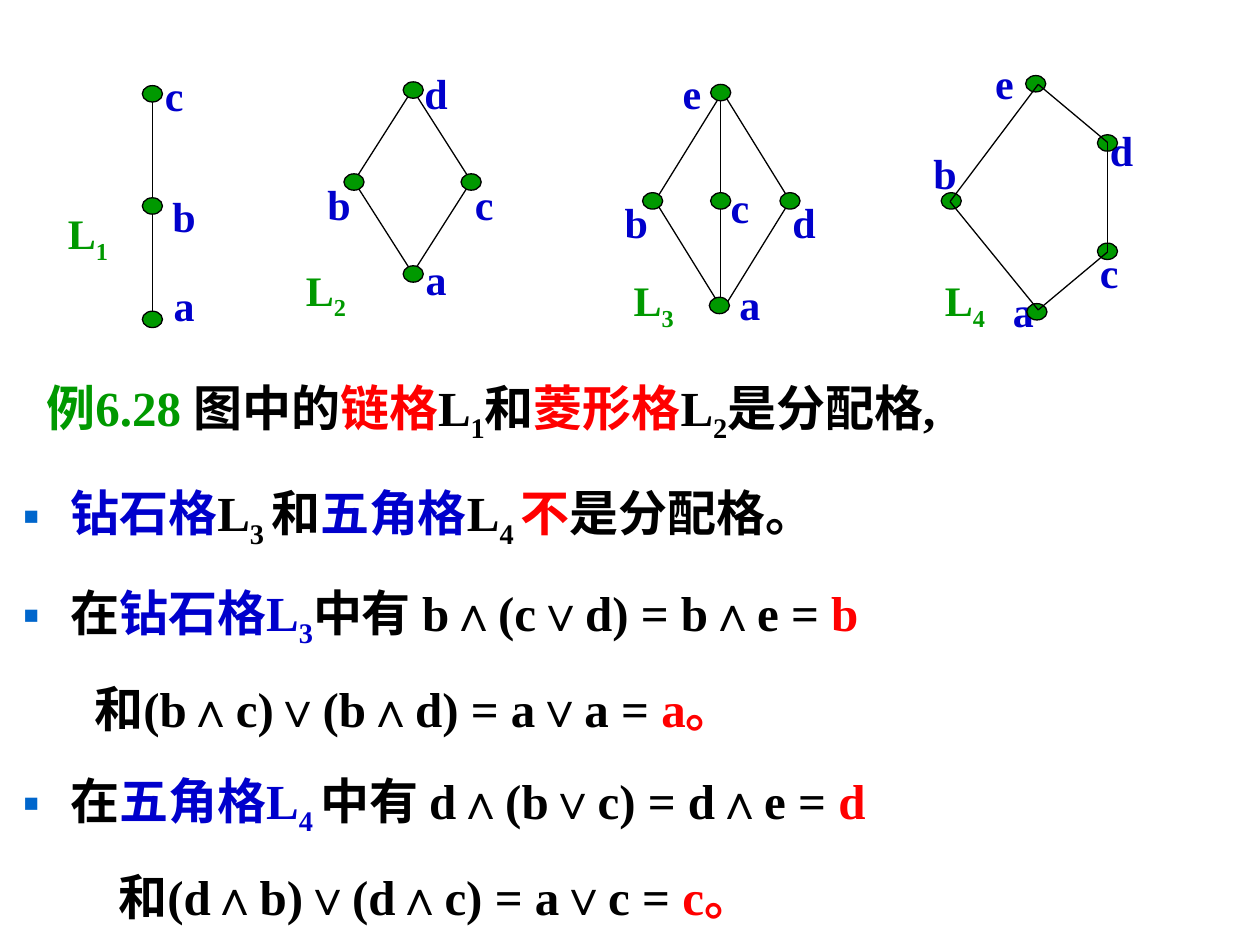
"""Build a slide on four lattices and which of them are distributive."""
from lxml import etree
from pptx import Presentation, util as u
from pptx.dml.color import RGBColor
from pptx.enum import shapes, text
from pptx.oxml import ns

PX = 9144
SLIDE = (1000, 750)
BODY = (8, 273, 980, 477)
NODE = (16, 13)
LABEL_WIDTHS = {"a": 36, "b": 38, "c": 35, "d": 38, "e": 35}
LABEL_HEIGHT = 50
NAME = (52, 56)
HANG = 38
SUB = "-25000"
THEME = {
    "font": "Times New Roman", "body": 28, "label": 24, "line": 0.75, "before": 7,
    "ink": "000000", "red": "FF0000", "blue": "0000CC", "green": "009900",
    "bullet": "0066CC",
}

# Each node is (label, node left, node top, label left, label top).
LATTICES = [
    {"index": "1", "name_at": (44, 160),
     "under": [((121, 74), (121, 260))],
     "nodes": [("c", 113, 68, 121, 50), ("b", 113, 157, 127, 146),
               ("a", 113, 247, 128, 217)]},
    {"index": "2", "name_at": (233, 205),
     "diamond": (281, 71, 93, 146),
     "nodes": [("d", 320, 65, 327, 49), ("b", 273, 138, 250, 137),
               ("c", 366, 138, 367, 137), ("a", 320, 211, 328, 196)]},
    {"index": "3", "name_at": (493, 213),
     "diamond": (520, 73, 107, 173),
     "under": [((572, 240), (572, 73))],
     "nodes": [("e", 564, 67, 532, 49), ("b", 510, 153, 486, 151),
               ("c", 564, 153, 570, 139), ("d", 619, 153, 619, 151),
               ("a", 563, 236, 577, 216)]},
    {"index": "4", "name_at": (740, 213),
     "over": [((824, 67), (754, 160)), ((754, 160), (824, 246)),
              ((879, 113), (879, 200)), ((879, 113), (824, 67)),
              ((879, 200), (824, 246))],
     "nodes": [("e", 814, 60, 780, 41), ("b", 747, 153, 731, 112),
               ("d", 871, 107, 871, 94), ("c", 871, 193, 863, 191),
               ("a", 815, 241, 794, 222)]},
]

PARAGRAPHS = [
    {"spacing": 1.4, "margin": HANG, "indent": -19, "runs": [
        ("例6.28 ", "green"), ("图中的", "ink"), ("链格", "red"), ("L", "ink"),
        ("1", "ink", SUB), ("和", "ink"), ("菱形格", "red"), ("L", "ink"),
        ("2", "ink", SUB), ("是分配格,", "ink")]},
    {"spacing": 1.4, "bullet": "▪", "runs": [
        ("钻石格", "blue"), ("L", "ink"), ("3 ", "ink", SUB), ("和", "ink"),
        ("五角格", "blue"), ("L", "ink"), ("4 ", "ink", SUB), ("不", "red"),
        ("是分配格。", "ink")]},
    {"spacing": 1.3, "bullet": "▪", "runs": [
        ("在", "ink"), ("钻石格L", "blue"), ("3", "blue", SUB),
        ("中有 b∧(c∨d) = b∧e = ", "ink"), ("b", "red")]},
    {"spacing": 1.3, "margin": 57, "indent": 0, "runs": [
        ("和(b∧c)∨(b∧d) = a∨a = ", "ink"), ("a。", "red")]},
    {"spacing": 1.3, "bullet": "▪", "runs": [
        ("在", "ink"), ("五角格L", "blue"), ("4 ", "blue", SUB),
        ("中有 d∧(b∨c) = d∧e = ", "ink"), ("d", "red")]},
    {"spacing": 1.3, "margin": 76, "indent": 0, "runs": [
        ("和(d∧b)∨(d∧c) = a∨c = ", "ink"), ("c。", "red")]},
]


def emu(*lengths):
    return [u.Emu(length * PX) for length in lengths]


def colour(key):
    return RGBColor.from_string(THEME[key])


def add_runs(paragraph, runs, size):
    for words, key, *baseline in runs:
        run = paragraph.add_run()
        run.text = words
        run.font.name = THEME["font"]
        run.font.size = u.Pt(size)
        run.font.bold = True
        run.font.color.rgb = colour(key)
        if baseline:
            run.font._element.set("baseline", baseline[0])


def set_bullet(properties, char):
    if not char:
        etree.SubElement(properties, ns.qn("a:buNone"))
        return
    tint = etree.SubElement(properties, ns.qn("a:buClr"))
    etree.SubElement(tint, ns.qn("a:srgbClr"), val=THEME["bullet"])
    etree.SubElement(properties, ns.qn("a:buFont"), typeface=THEME["font"])
    etree.SubElement(properties, ns.qn("a:buChar"), char=char)


def fill_body(body):
    body.left, body.top, body.width, body.height = emu(*BODY)
    frame = body.text_frame
    frame.auto_size = text.MSO_AUTO_SIZE.NONE
    for number, content in enumerate(PARAGRAPHS):
        paragraph = frame.add_paragraph() if number else frame.paragraphs[0]
        paragraph.line_spacing = content["spacing"]
        paragraph.space_before = u.Pt(THEME["before"])
        properties = paragraph._p.get_or_add_pPr()
        properties.set("marL", str(content.get("margin", HANG) * PX))
        properties.set("indent", str(content.get("indent", -HANG) * PX))
        set_bullet(properties, content.get("bullet"))
        add_runs(paragraph, content["runs"], THEME["body"])


def add_outline(slide, kind, box, fill=None):
    outline = slide.shapes.add_shape(kind, *emu(*box))
    outline.shadow.inherit = False
    outline.line.color.rgb = colour("ink")
    outline.line.width = u.Pt(THEME["line"])
    if fill:
        outline.fill.solid()
        outline.fill.fore_color.rgb = colour(fill)
    else:
        outline.fill.background()


def add_edge(slide, start, end):
    edge = slide.shapes.add_connector(shapes.MSO_CONNECTOR.STRAIGHT, *emu(*start, *end))
    edge.line.color.rgb = colour("ink")
    edge.line.width = u.Pt(THEME["line"])
    etree.SubElement(edge._element.spPr, ns.qn("a:effectLst"))


def add_label(slide, box, runs):
    frame = slide.shapes.add_textbox(*emu(*box)).text_frame
    frame.word_wrap = False
    frame.auto_size = text.MSO_AUTO_SIZE.SHAPE_TO_FIT_TEXT
    add_runs(frame.paragraphs[0], runs, THEME["label"])


def draw_lattice(slide, lattice):
    if "diamond" in lattice:
        add_outline(slide, shapes.MSO_SHAPE.DIAMOND, lattice["diamond"])
    for start, end in lattice.get("under", []):
        add_edge(slide, start, end)
    for label, _, _, left, top in lattice["nodes"]:
        add_label(slide, (left, top, LABEL_WIDTHS[label], LABEL_HEIGHT), [(label, "blue")])
    for _, left, top, _, _ in lattice["nodes"]:
        add_outline(slide, shapes.MSO_SHAPE.OVAL, (left, top, *NODE), "green")
    for start, end in lattice.get("over", []):
        add_edge(slide, start, end)
    add_label(slide, (*lattice["name_at"], *NAME),
              [("L", "green"), (lattice["index"], "green", SUB)])


def main():
    deck = Presentation()
    deck.slide_width, deck.slide_height = emu(*SLIDE)
    slide = deck.slides.add_slide(deck.slide_layouts[1])
    title = slide.shapes.title._element
    title.getparent().remove(title)
    fill_body(slide.placeholders[1])
    for lattice in LATTICES:
        draw_lattice(slide, lattice)
    deck.save("out.pptx")


if __name__ == "__main__":
    main()
